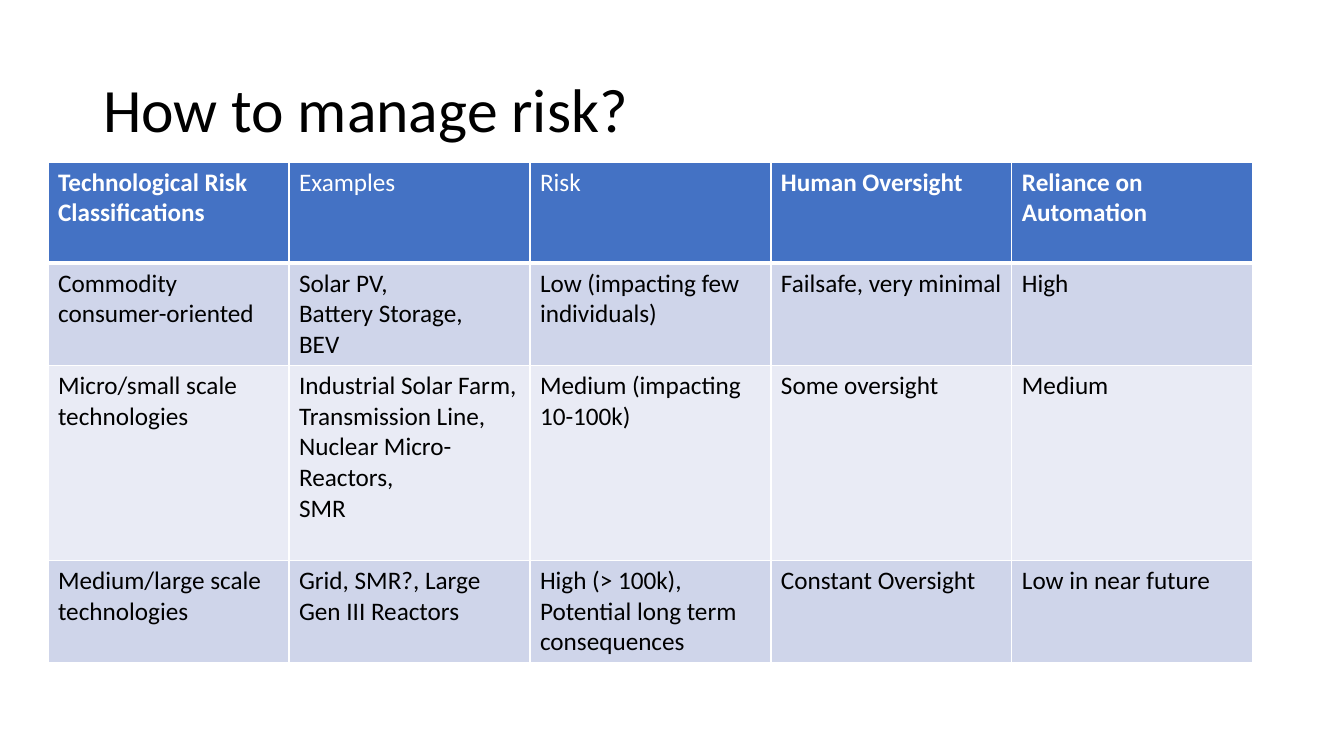
from lxml import etree
from pptx import Presentation, util as u
from pptx.dml.color import RGBColor
from pptx.enum import text
from pptx.oxml.ns import qn

PX = 914400 / 100.8
FONT = "Calibri"
HUES = {"head": "4472C4", "dark": "CFD5EA", "light": "E9EBF5",
        "ink": "000000", "white": "FFFFFF"}


def px(n):
    return u.Emu(round(n * PX))


def add_run(para, words, size, hue, bold=False):
    run = para.add_run()
    run.text = words
    font = run.font
    font.name, font.size, font.bold = FONT, u.Pt(size), bold
    font.color.rgb = RGBColor.from_string(HUES[hue])


# Slide
deck = Presentation()
deck.slide_width, deck.slide_height = px(1344), px(756)
slide = deck.slides.add_slide(deck.slide_layouts[5])

# Title
title = slide.shapes.title
title.left, title.top, title.width, title.height = map(px, (93, 40, 1159, 146))
frame = title.text_frame
frame.word_wrap = True
frame.auto_size = text.MSO_AUTO_SIZE.NONE
frame.vertical_anchor = text.MSO_ANCHOR.MIDDLE
para = frame.paragraphs[0]
para.alignment = text.PP_ALIGN.LEFT
para.line_spacing = 0.9
add_run(para, "How to manage risk?", 44, "ink")

# Table wording: each line of a cell is a paragraph
ROWS = [
    ["Technological Risk Classifications", "Examples", "Risk",
     "Human Oversight", "Reliance on Automation"],
    ["Commodity consumer-oriented", "Solar PV,\nBattery Storage,\nBEV",
     "Low (impacting few individuals)", "Failsafe, very minimal", "High"],
    ["Micro/small scale technologies",
     "Industrial Solar Farm, Transmission Line, Nuclear Micro-Reactors,\nSMR",
     "Medium (impacting 10-100k)", "Some oversight", "Medium"],
    ["Medium/large scale technologies", "Grid, SMR?, Large Gen III Reactors",
     "High (> 100k), Potential long term consequences",
     "Constant Oversight", "Low in near future"],
]
FILLS = ["head", "dark", "light", "dark"]
TALL = [101, 102, 195, 102]
WIDE = 241
PLAIN = ("Examples", "Risk")

# Table
grid = slide.shapes.add_table(len(ROWS), len(ROWS[0]), px(48), px(162),
                              px(WIDE * len(ROWS[0])), px(sum(TALL))).table
for col in grid.columns:
    col.width = px(WIDE)

for r, row in enumerate(ROWS):
    grid.rows[r].height = px(TALL[r])
    for c, words in enumerate(row):
        cell = grid.cell(r, c)
        # Text
        for i, line in enumerate(words.split("\n")):
            frame = cell.text_frame
            para = frame.add_paragraph() if i else frame.paragraphs[0]
            add_run(para, line, 18, "ink" if r else "white",
                    r == 0 and line not in PLAIN)
        # Borders, thicker under the header
        props = cell._tc.get_or_add_tcPr()
        for side in "LRTB":
            thick = (r, side) in ((0, "B"), (1, "T"))
            edge = etree.SubElement(props, qn("a:ln" + side),
                                    w=str(u.Pt(3 if thick else 1)))
            fill = etree.SubElement(edge, qn("a:solidFill"))
            etree.SubElement(fill, qn("a:srgbClr"), val=HUES["white"])
        # Fill
        cell.fill.solid()
        cell.fill.fore_color.rgb = RGBColor.from_string(HUES[FILLS[r]])

deck.save("out.pptx")
